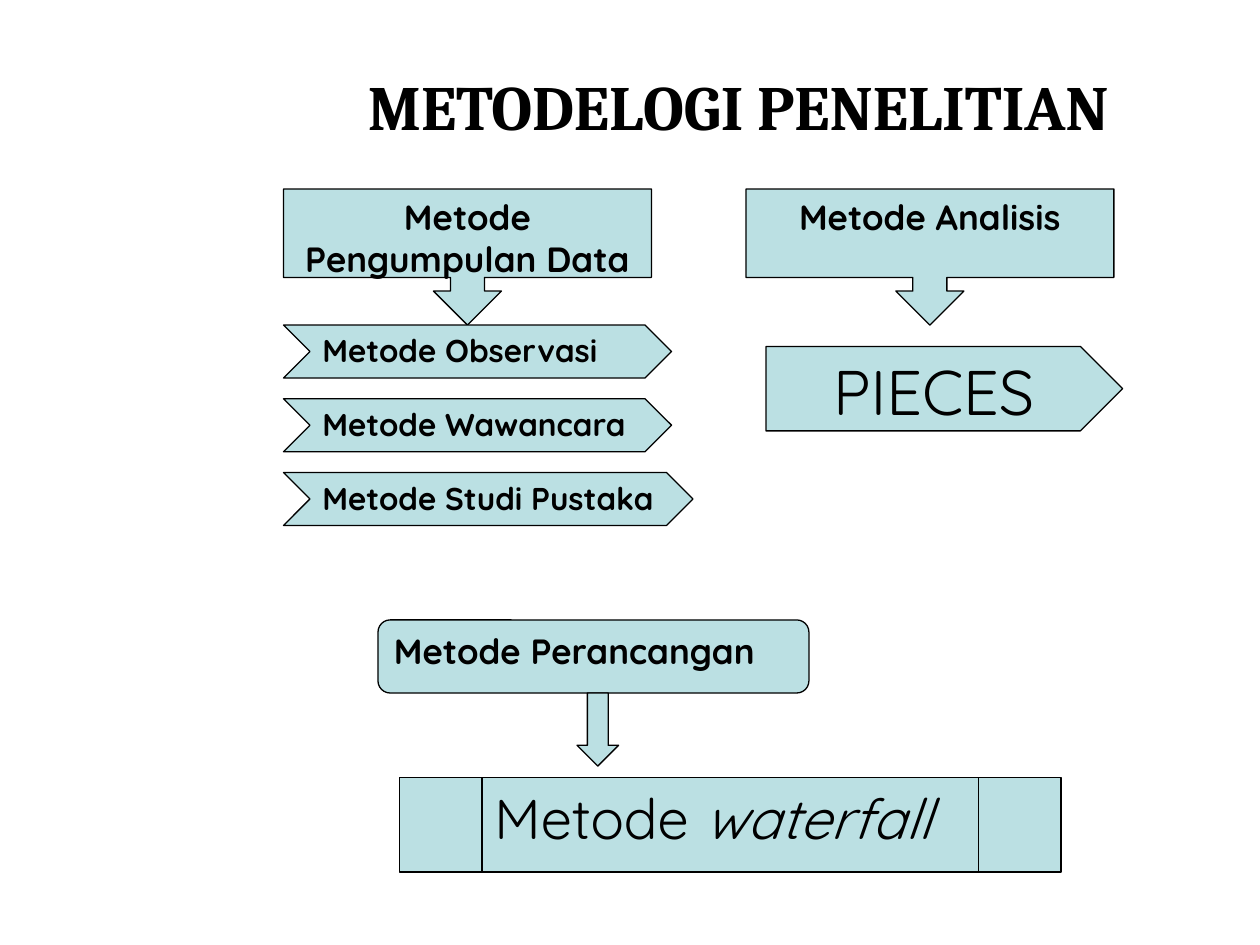
"""Build the research methodology slide."""
from pptx import Presentation
from pptx.dml.color import RGBColor
from pptx.enum.shapes import MSO_SHAPE
from pptx.enum.text import MSO_ANCHOR, PP_ALIGN
from pptx.util import Inches, Pt

COLORS = {"fill": "BBE0E3", "ink": "000000"}
BODY_FONT = "Quicksand"


def set_text(s, runs, size, bold=False, align=PP_ALIGN.LEFT,
             anchor=MSO_ANCHOR.TOP, font=BODY_FONT):
    """Write (text, italic) runs as one paragraph in a shape."""
    tf = s.text_frame
    tf.word_wrap = True
    tf.vertical_anchor = anchor
    p = tf.paragraphs[0]
    p.alignment = align
    p.font.name = font
    p.font.size = Pt(size)
    p.font.bold = bold
    p.font.color.rgb = RGBColor.from_string(COLORS["ink"])
    for text, italic in runs:
        r = p.add_run()
        r.text = text
        if italic:
            r.font.italic = True


def add_title(slide, text):
    """Add the slide heading."""
    s = slide.shapes.add_textbox(Inches(2.08), Inches(0.42), Inches(7.56), Inches(0.83))
    set_text(s, [(text, False)], 36, True, PP_ALIGN.CENTER, MSO_ANCHOR.MIDDLE, "Cambria")


def add_box(slide, kind, left, top, width, height):
    """Add a pale blue preset shape with a thin outline."""
    s = slide.shapes.add_shape(kind, Inches(left), Inches(top), Inches(width), Inches(height))
    s.shadow.inherit = False
    s.fill.solid()
    s.fill.fore_color.rgb = RGBColor.from_string(COLORS["fill"])
    s.line.color.rgb = RGBColor.from_string(COLORS["ink"])
    s.line.width = Pt(0.75)
    return s


def add_callout(slide, left, text):
    """Add a method heading whose arrow points down."""
    s = add_box(slide, MSO_SHAPE.DOWN_ARROW_CALLOUT, left, 1.5, 2.92, 1.08)
    set_text(s, [(text, False)], 20, True, PP_ALIGN.CENTER)


def add_chevrons(slide, items):
    """Stack the data collection methods at an equal pitch."""
    for i, (text, width) in enumerate(items):
        s = add_box(slide, MSO_SHAPE.CHEVRON, 2.25, 2.58 + i * 0.585, width, 0.42)
        set_text(s, [(text, False)], 18, True)


def add_design_method(slide):
    """Add the design method, its arrow and the chosen process."""
    s = add_box(slide, MSO_SHAPE.ROUNDED_RECTANGLE, 3, 4.92, 3.42, 0.58)
    set_text(s, [("Metode Perancangan", False)], 20, True)
    s = add_box(slide, MSO_SHAPE.FLOWCHART_PREDEFINED_PROCESS, 3.17, 6.17, 5.25, 0.75)
    set_text(s, [("Metode ", False), ("waterfall", True)], 32)
    add_box(slide, MSO_SHAPE.DOWN_ARROW, 4.58, 5.5, 0.33, 0.58)


def main():
    """Assemble and save the slide."""
    prs = Presentation()
    prs.slide_width, prs.slide_height = Inches(10), Inches(7.5)
    slide = prs.slides.add_slide(prs.slide_layouts[6])
    add_title(slide, "METODELOGI PENELITIAN")
    add_callout(slide, 2.25, "Metode Pengumpulan Data")
    add_chevrons(slide, [("Metode Observasi", 3.08),
                         ("Metode Wawancara", 3.08),
                         ("Metode Studi Pustaka", 3.25)])
    add_callout(slide, 5.92, "Metode Analisis")
    s = add_box(slide, MSO_SHAPE.PENTAGON, 6.08, 2.75, 2.83, 0.67)
    set_text(s, [("PIECES", False)], 36, align=PP_ALIGN.CENTER)
    add_design_method(slide)
    prs.save("out.pptx")


if __name__ == "__main__":
    main()
